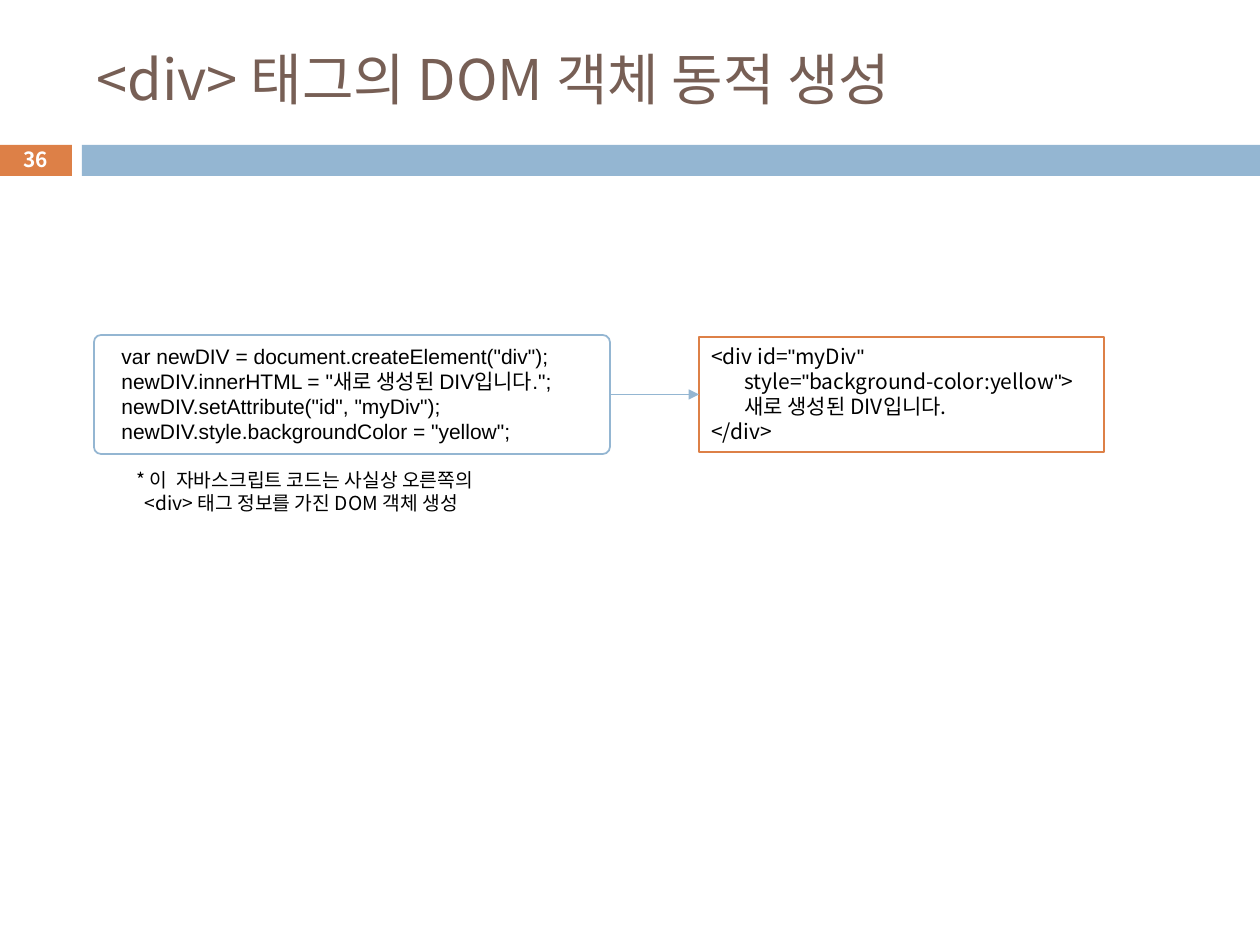
import pptx
import pptx.dml.color
import pptx.enum.shapes
import pptx.enum.text
import pptx.oxml
import pptx.oxml.ns
import pptx.util

EMU_PER_PX = 914400 / 126
KOREAN = "Noto Sans CJK KR"
LATIN = "Arial"
ORANGE, BLUE, BROWN = "DD8047", "94B6D2", "775F55"
WHITE, BLACK = "FFFFFF", "000000"
SHAPE = pptx.enum.shapes.MSO_SHAPE
ANCHOR = pptx.enum.text.MSO_ANCHOR
ALIGN = pptx.enum.text.PP_ALIGN
RIGHT_SIDE, LEFT_SIDE = 3, 1


def px(length):
    return pptx.util.Emu(round(length * EMU_PER_PX))


def color(value):
    return pptx.dml.color.RGBColor.from_string(value)


def add_element(parent, tag, **attributes):
    element = pptx.oxml.parse_xml(f"<{tag} {pptx.oxml.ns.nsdecls('a')}/>")
    for name, value in attributes.items():
        element.set(name, value)
    parent.append(element)


class SlideBuilder:
    def __init__(self, slide):
        self.slide = slide

    def box(self, kind, bounds, fill, line=None):
        shape = self.slide.shapes.add_shape(kind, *map(px, bounds))
        shape.shadow.inherit = False
        shape.fill.solid()
        shape.fill.fore_color.rgb = color(fill)
        if line:
            shape.line.color.rgb = color(line)
            shape.line.width = pptx.util.Pt(1)
        else:
            shape.line.fill.background()
        return shape

    def text_box(self, bounds, lines, **style):
        shape = self.slide.shapes.add_textbox(*map(px, bounds))
        self.set_text(shape, lines, **style)

    def set_text(self, shape, lines, size, text_color=BLACK, latin=KOREAN,
                 bold=False, anchor=ANCHOR.TOP, align=ALIGN.LEFT):
        """Fill a shape with lines, each an (indent, run, run...) tuple.

        A run that is only a quotation mark is set in the Latin font.
        """
        frame = shape.text_frame
        frame.word_wrap = True
        frame.vertical_anchor = anchor
        for index, (indent, *runs) in enumerate(lines):
            paragraph = frame.add_paragraph() if index else frame.paragraphs[0]
            paragraph.alignment = align
            paragraph._p.get_or_add_pPr().set("marL", str(px(indent)))
            for text in runs:
                run = paragraph.add_run()
                run.text = text
                font_format = {
                    "size": pptx.util.Pt(size),
                    "bold": bold,
                    "name": LATIN if text == '"' else latin,
                }
                for name, value in font_format.items():
                    setattr(run.font, name, value)
                run.font.color.rgb = color(text_color)
                add_element(run._r.get_or_add_rPr(), "a:ea", typeface=KOREAN)

    def arrow(self, source, target, line):
        """Join the right side of source to the left side of target."""
        connector = self.slide.shapes.add_connector(
            pptx.enum.shapes.MSO_CONNECTOR.STRAIGHT, 0, 0, 0, 0)
        connector.begin_connect(source, RIGHT_SIDE)
        connector.end_connect(target, LEFT_SIDE)
        connector.line.color.rgb = color(line)
        connector.line.width = pptx.util.Pt(0.79)
        add_element(connector.line._get_or_add_ln(), "a:tailEnd", type="triangle")
        add_element(connector._element.spPr, "a:effectLst")


def main():
    presentation = pptx.Presentation()
    presentation.slide_width = px(1260)
    presentation.slide_height = px(945)
    builder = SlideBuilder(
        presentation.slides.add_slide(presentation.slide_layouts[6]))

    builder.box(SHAPE.RECTANGLE, (-1, 145, 73, 31), ORANGE)
    builder.box(SHAPE.RECTANGLE, (82, 145, 1178, 31), BLUE)
    builder.text_box((84, 32, 1124, 93), [(0, "<div> 태그의 DOM 객체 동적 생성")],
                     size=32, text_color=BROWN, anchor=ANCHOR.MIDDLE)
    builder.text_box((-1, 142, 73, 34), [(0, "36")], size=11.9, bold=True,
                     text_color=WHITE, anchor=ANCHOR.MIDDLE, align=ALIGN.CENTER)

    code_box = builder.box(SHAPE.ROUNDED_RECTANGLE, (94, 335, 516, 119), WHITE, BLUE)
    code_box.adjustments[0] = 0.06
    code_lines = [
        'var newDIV = document.createElement("div");',
        'newDIV.innerHTML = "새로 생성된 DIV입니다.";',
        'newDIV.setAttribute("id", "myDiv");',
        'newDIV.style.backgroundColor = "yellow";',
    ]
    builder.set_text(code_box, [(13, line) for line in code_lines],
                     size=12, latin=LATIN)

    html_box = builder.box(SHAPE.RECTANGLE, (699, 337, 405, 115), WHITE, ORANGE)
    html_lines = [
        (0, "<div id=", '"', "myDiv", '"'),
        (33, "style=", '"', "background-color:yellow", '"', ">"),
        (33, "새로 생성된 DIV입니다."),
        (0, "</div>"),
    ]
    builder.set_text(html_box, html_lines, size=12)

    caption_lines = [
        (0, "* 이  자바스크립트 코드는 사실상 오른쪽의"),
        (8, "<div> 태그 정보를 가진 DOM 객체 생성"),
    ]
    builder.text_box((124, 462, 412, 59), caption_lines, size=11)
    builder.arrow(code_box, html_box, BLUE)

    presentation.save("out.pptx")


if __name__ == "__main__":
    main()
